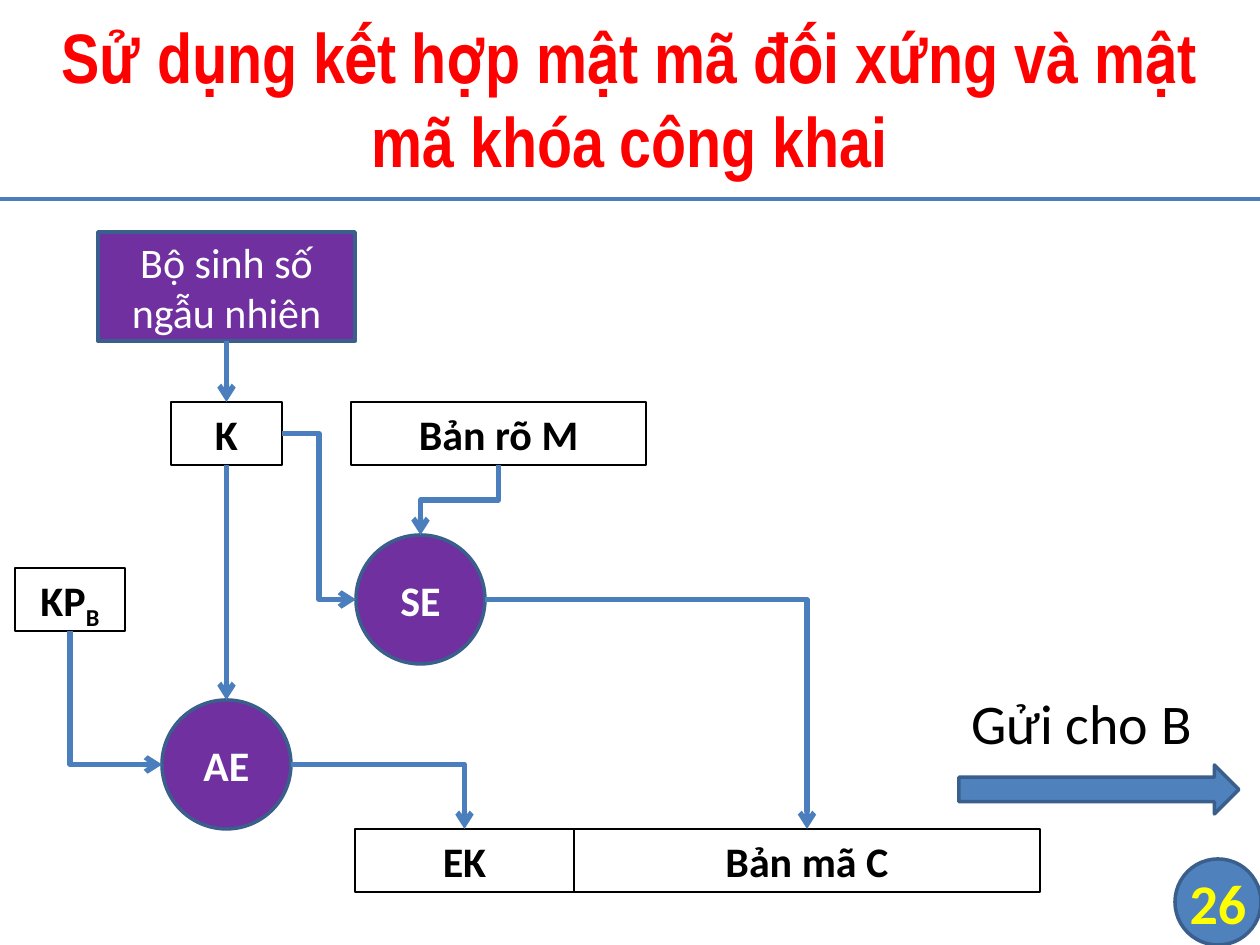
import pptx
import pptx.util
import pptx.dml.color
import pptx.enum.shapes
import pptx.enum.text
import pptx.oxml.ns
import lxml.etree

KIND = pptx.enum.shapes.MSO_SHAPE
LINK = pptx.enum.shapes.MSO_CONNECTOR
ALIGN = pptx.enum.text.PP_ALIGN
ANCHOR = pptx.enum.text.MSO_ANCHOR
FIT = pptx.enum.text.MSO_AUTO_SIZE
qn = pptx.oxml.ns.qn

# Content
COLORS = {"title": "FF0000", "purple": "7030A0", "blue": "4F81BD", "edge": "3A5F8C",
          "link": "4B7EBC", "black": "000000", "white": "FFFFFF", "page": "FFFF00"}
TITLE = "Sử dụng kết hợp mật mã đối xứng và mật mã khóa công khai"
SEND, PAGE = "Gửi cho B", "26"
SOURCE = ("Bộ sinh số ngẫu nhiên", (98, 232, 257, 109))

# Data boxes: name -> text, subscript, left, top, width
BOXES = {
    "K": ("K", "", 171, 402, 111),
    "M": ("Bản rõ M", "", 351, 402, 295),
    "KP": ("KP", "B", 15, 568, 110),
    "EK": ("EK", "", 355, 829, 219),
    "C": ("Bản mã C", "", 574, 829, 466),
}
BOX_H = 63
# Cipher circles: text -> left, top
CIRCLES = {"SE": (356, 535), "AE": (162, 700)}
ROUND = 129
HAIR = 0  # thinnest line

# Links: from, side, to, side
LINKS = [
    ("source", "bottom", "K", "top"),
    ("K", "right", "SE", "left"),
    ("K", "bottom", "AE", "top"),
    ("KP", "bottom", "AE", "left"),
    ("AE", "right", "EK", "top"),
    ("SE", "right", "C", "top"),
    ("M", "bottom", "SE", "top"),
]
SIDES = {"top": (0.5, 0), "bottom": (0.5, 1), "left": (0, 0.5), "right": (1, 0.5)}


def px(n):
    return round(n * 914400 / 126)


def rgb(name):
    return pptx.dml.color.RGBColor.from_string(COLORS[name])


def style(para, size, color, bold=False, face="Calibri", align=ALIGN.CENTER):
    para.alignment = align
    font = para.font
    font.name, font.size, font.bold = face, pptx.util.Pt(size), bold
    font.color.rgb = rgb(color)


def stroke(line, color, width):
    line.color.rgb = rgb(color)
    line.width = pptx.util.Pt(width)


def shape(kind, area, fill=None, edge="edge", width=2):
    item = slide.shapes.add_shape(kind, *map(px, area))
    item.shadow.inherit = False
    if fill:
        item.fill.solid()
        item.fill.fore_color.rgb = rgb(fill)
    else:
        item.fill.background()
    stroke(item.line, edge, width)
    return item


def label(item, text, size, color, bold=False, anchor=ANCHOR.MIDDLE, align=ALIGN.CENTER):
    frame = item.text_frame
    frame.word_wrap, frame.vertical_anchor = True, anchor
    frame.text = text
    style(frame.paragraphs[0], size, color, bold, align=align)
    return frame


def connect(kind, start, end, width):
    item = slide.shapes.add_connector(kind, *map(px, start + end))
    stroke(item.line, "link", width)
    lxml.etree.SubElement(item._element.spPr, qn("a:effectLst"))
    return item


def port(name, side):
    left, top, wide, high = areas[name]
    fx, fy = SIDES[side]
    return left + wide * fx, top + high * fy


def join(first, out, last, into):
    start, end = port(first, out), port(last, into)
    dx, dy = end[0] - start[0], end[1] - start[1]
    bent = dx != 0
    item = connect(LINK.ELBOW if bent else LINK.STRAIGHT, start, end, 3)
    props = item._element.spPr
    lxml.etree.SubElement(props.find(qn("a:ln")), qn("a:tailEnd"), type="arrow")
    down = out == "bottom"
    if bent and down != (into == "top"):
        # One corner
        props.find(qn("a:prstGeom")).set("prst", "bentConnector2")
    if bent and down:
        # Leaves downwards: turn the frame about its centre
        wide, high = abs(dy), abs(dx)
        item.left = px((start[0] + end[0] - wide) / 2)
        item.top = px((start[1] + end[1] - high) / 2)
        item.width, item.height = px(wide), px(high)
        frame = props.find(qn("a:xfrm"))
        frame.attrib.clear()
        frame.set("rot", "16200000" if dx > 0 else "5400000")
        if dx > 0:
            frame.set("flipH", "1")


deck = pptx.Presentation()
deck.slide_width, deck.slide_height = px(1260), px(945)
slide = deck.slides.add_slide(deck.slide_layouts[5])

# Title and rule
title = slide.shapes.title
title.left, title.top, title.width, title.height = map(px, (1, -4, 1257, 203))
frame = title.text_frame
frame.text, frame.vertical_anchor = TITLE, ANCHOR.MIDDLE
style(frame.paragraphs[0], 40, "title", True, "Arial Narrow")
connect(LINK.STRAIGHT, (0, 199), (1260, 199), HAIR)

# Page number
badge = (1175, 859, 86, 86)
shape(KIND.FLOWCHART_CONNECTOR, badge, "blue")
frame = label(slide.shapes.add_textbox(*map(px, badge)), PAGE, 32, "page", True)
frame.margin_left = frame.margin_right = frame.margin_top = frame.margin_bottom = 0

# Key source, data boxes and ciphers
text, area = SOURCE
areas = {"source": area}
label(shape(KIND.RECTANGLE, area, "purple"), text, 24, "white")
for name, (text, sub, left, top, wide) in BOXES.items():
    areas[name] = (left, top, wide, BOX_H)
    box = shape(KIND.RECTANGLE, areas[name], edge="black", width=HAIR)
    frame = label(box, text, 24, "black", True, ANCHOR.TOP)
    frame.auto_size = FIT.SHAPE_TO_FIT_TEXT
    if sub:
        run = frame.paragraphs[0].add_run()
        run.text = sub
        run.font._element.set("baseline", "-25000")
for name, (left, top) in CIRCLES.items():
    areas[name] = (left, top, ROUND, ROUND)
    label(shape(KIND.OVAL, areas[name], "purple"), name, 24, "white", True)

# Links
for link in LINKS:
    join(*link)

# Sending arrow
shape(KIND.RIGHT_ARROW, (959, 765, 280, 49), "blue")
note = slide.shapes.add_textbox(*map(px, (959, 682, 280, 81)))
frame = label(note, SEND, 32, "black", anchor=ANCHOR.TOP, align=ALIGN.LEFT)
frame.word_wrap, frame.auto_size = False, FIT.SHAPE_TO_FIT_TEXT

deck.save("out.pptx")
